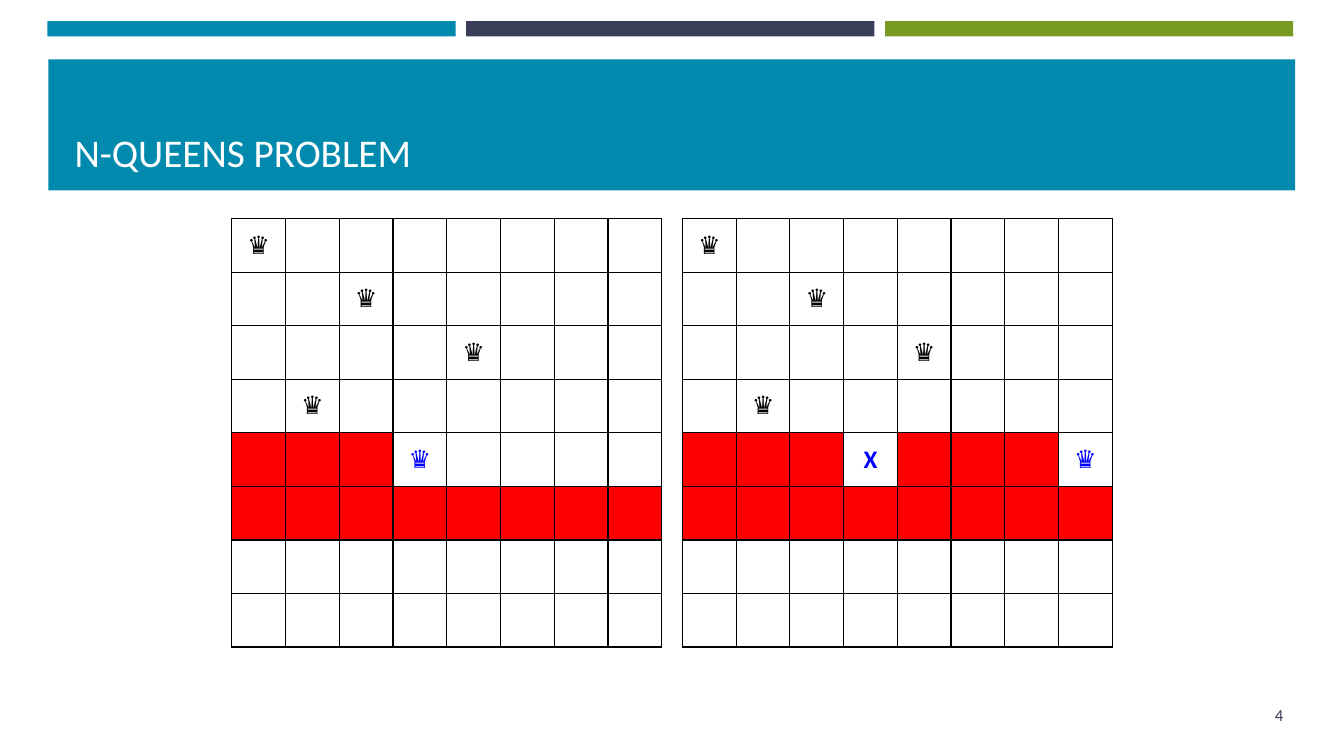
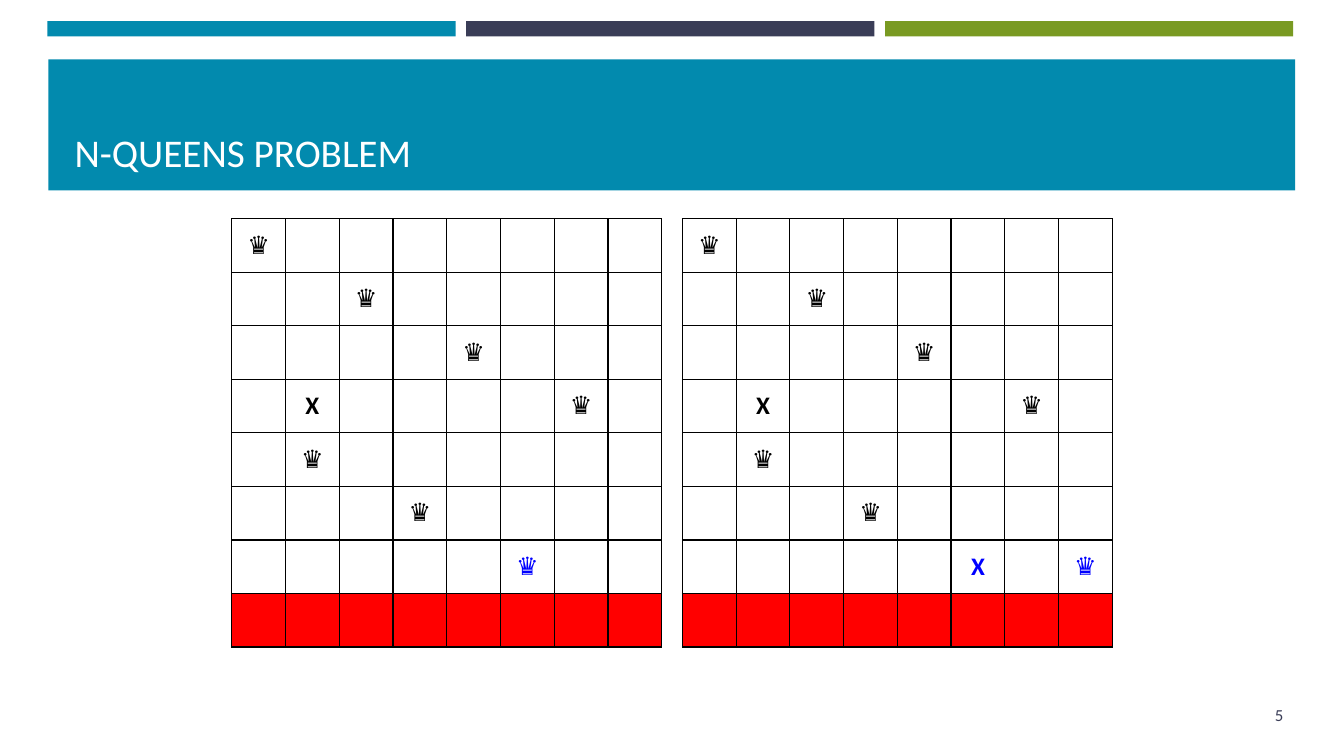
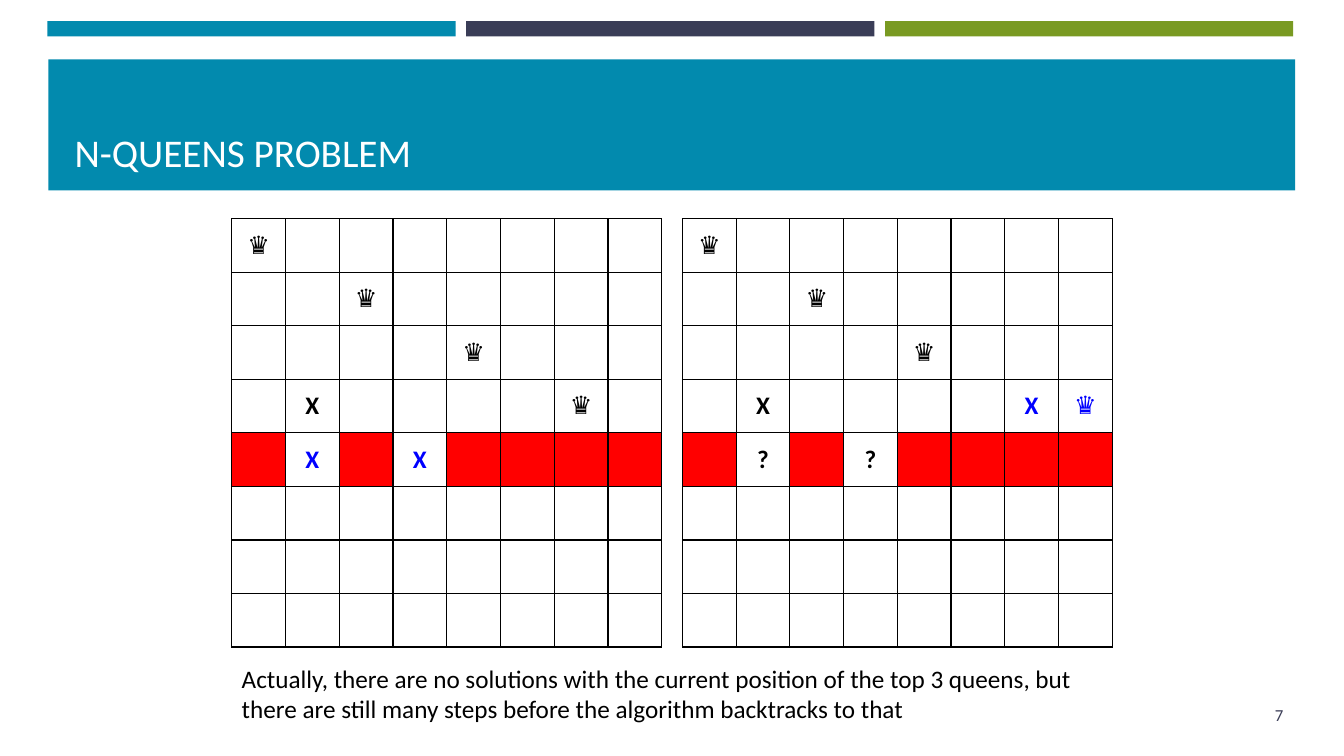
from dataclasses import dataclass
from typing import Any

import pptx
import pptx.dml.color
import pptx.enum.shapes
import pptx.enum.text
import pptx.oxml.ns
import pptx.presentation
import pptx.slide
import pptx.text.text
import pptx.util
from lxml import etree

Pt = pptx.util.Pt
ALIGN = pptx.enum.text.PP_ALIGN
ANCHOR = pptx.enum.text.MSO_ANCHOR
AUTO_SIZE = pptx.enum.text.MSO_AUTO_SIZE

TEAL, NAVY, GREEN = "028AAE", "3A3D57", "799A22"
WHITE, BLACK, RED, BLUE = "FFFFFF", "000000", "FF0000", "0000FF"
FONT = "Calibri"
TITLE = "N-QUEENS PROBLEM"
BOARD_SIZE = 8
BOARD_TOP, COLUMN_WIDTH, ROW_HEIGHT = 156.24, 38.4, 38.25
BOARD_LEFTS = (165.6, 487.44)
EMPTY_ROW = "." * BOARD_SIZE
ATTACKED_ROW = "#" * BOARD_SIZE


@dataclass(frozen=True)
class Box:
    left: float
    top: float
    width: float
    height: float

    def lengths(self) -> tuple[int, ...]:
        return tuple(Pt(v) for v in (self.left, self.top, self.width, self.height))


@dataclass(frozen=True)
class Band:
    box: Box
    color: str


@dataclass(frozen=True)
class Mark:
    symbol: str
    color: str
    bold: bool


@dataclass(frozen=True)
class Step:
    number: str
    boards: tuple[list[str], list[str]]
    remark: str = ""


MARKS = {
    "Q": Mark("♛", BLACK, False),
    "q": Mark("♛", BLUE, False),
    "X": Mark("X", BLACK, True),
    "x": Mark("X", BLUE, True),
    "?": Mark("?", BLACK, True),
}
BANDS = [
    Band(Box(33.84 + 299.16 * i, 15.12, 291.6, 11), color)
    for i, color in enumerate((TEAL, NAVY, GREEN))
] + [Band(Box(34.56, 42.48, 890.64, 93.6), TEAL)]
TITLE_BOX = Box(46.08, 51.12, 868.32, 77.76)
NUMBER_BOX = Box(838.8, 496.08, 84.96, 28.8)
REMARK_BOX = Box(165.6, 470.16, 628.56, 51.12)

TOP_QUEENS = ["Q.......", "..Q.....", "....Q..."]
FIRST_FOUR = TOP_QUEENS + [".Q......"]
FIRST_SIX = TOP_QUEENS + [".X....Q.", ".Q......", "...Q...."]

STEPS = [
    Step("4", (
        FIRST_FOUR + ["###q....", ATTACKED_ROW] + [EMPTY_ROW] * 2,
        FIRST_FOUR + ["###x###q", ATTACKED_ROW] + [EMPTY_ROW] * 2,
    )),
    Step("5", (
        FIRST_SIX + [".....q..", ATTACKED_ROW],
        FIRST_SIX + [".....x.q", ATTACKED_ROW],
    )),
    Step("7", (
        TOP_QUEENS + [".X....Q.", "#x#x####"] + [EMPTY_ROW] * 3,
        TOP_QUEENS + [".X....xq", "#?#?####"] + [EMPTY_ROW] * 3,
    ), "Actually, there are no solutions with the current position of the top 3 "
       "queens, but there are still many steps before the algorithm backtracks to that"),
]


def rgb(color: str) -> pptx.dml.color.RGBColor:
    return pptx.dml.color.RGBColor.from_string(color)


def apply_format(target: Any, values: dict[str, Any]) -> None:
    for name, value in values.items():
        setattr(target, name, value)


def write(frame: pptx.text.text.TextFrame, text: str, size: float, color: str,
          align: ALIGN = ALIGN.LEFT, bold: bool = False) -> None:
    paragraph = frame.paragraphs[0]
    paragraph.alignment = align
    run = paragraph.add_run()
    run.text = text
    apply_format(run.font, {"name": FONT, "size": Pt(size), "bold": bold})
    run.font.color.rgb = rgb(color)


def add_bands(slide: pptx.slide.Slide, layout: pptx.slide.SlideLayout) -> None:
    for band in BANDS:
        shape = slide.shapes.add_shape(
            pptx.enum.shapes.MSO_SHAPE.RECTANGLE, *band.box.lengths())
        shape.shadow.inherit = False
        shape.fill.solid()
        shape.fill.fore_color.rgb = rgb(band.color)
        shape.line.fill.background()
        layout.shapes.element.append(shape.element)


def add_title(slide: pptx.slide.Slide) -> None:
    title = slide.shapes.title
    names = ("left", "top", "width", "height")
    apply_format(title, dict(zip(names, TITLE_BOX.lengths())))
    apply_format(title.text_frame, {
        "vertical_anchor": ANCHOR.BOTTOM, "auto_size": AUTO_SIZE.NONE, "word_wrap": True})
    write(title.text_frame, TITLE, 28, WHITE)


def add_text(slide: pptx.slide.Slide, box: Box, text: str, size: float, color: str,
             align: ALIGN, frame_format: dict[str, Any]) -> None:
    frame = slide.shapes.add_textbox(*box.lengths()).text_frame
    apply_format(frame, {"word_wrap": True, **frame_format})
    write(frame, text, size, color, align)


def add_borders(cell: Any) -> None:
    qn = pptx.oxml.ns.qn
    properties = cell._tc.get_or_add_tcPr()
    for side in ("lnL", "lnR", "lnT", "lnB"):
        line = etree.SubElement(properties, qn(f"a:{side}"), w=str(Pt(1)))
        fill = etree.SubElement(line, qn("a:solidFill"))
        etree.SubElement(fill, qn("a:srgbClr"), val=BLACK)


def add_board(slide: pptx.slide.Slide, left: float, rows: list[str]) -> None:
    box = Box(left, BOARD_TOP, COLUMN_WIDTH * BOARD_SIZE, ROW_HEIGHT * BOARD_SIZE)
    board = slide.shapes.add_table(BOARD_SIZE, BOARD_SIZE, *box.lengths()).table
    apply_format(board, {"first_row": False, "horz_banding": False})
    for r, row in enumerate(rows):
        for c, code in enumerate(row):
            square = board.cell(r, c)
            add_borders(square)
            square.fill.solid()
            square.fill.fore_color.rgb = rgb(RED if code == "#" else WHITE)
            square.vertical_anchor = ANCHOR.MIDDLE
            if code in MARKS:
                mark = MARKS[code]
                write(square.text_frame, mark.symbol, 18, mark.color,
                      ALIGN.CENTER, mark.bold)


def add_step(deck: pptx.presentation.Presentation, layout: pptx.slide.SlideLayout,
             step: Step) -> pptx.slide.Slide:
    slide = deck.slides.add_slide(layout)
    add_title(slide)
    for left, rows in zip(BOARD_LEFTS, step.boards):
        add_board(slide, left, rows)
    if step.remark:
        add_text(slide, REMARK_BOX, step.remark, 18, BLACK, ALIGN.LEFT,
                 {"auto_size": AUTO_SIZE.SHAPE_TO_FIT_TEXT})
    add_text(slide, NUMBER_BOX, step.number, 12, NAVY, ALIGN.RIGHT,
             {"vertical_anchor": ANCHOR.MIDDLE})
    return slide


def main() -> None:
    deck = pptx.Presentation()
    apply_format(deck, {"slide_width": Pt(960), "slide_height": Pt(540)})
    layout = deck.slide_layouts[5]
    slides = [add_step(deck, layout, step) for step in STEPS]
    add_bands(slides[0], layout)
    deck.save("out.pptx")


if __name__ == "__main__":
    main()
